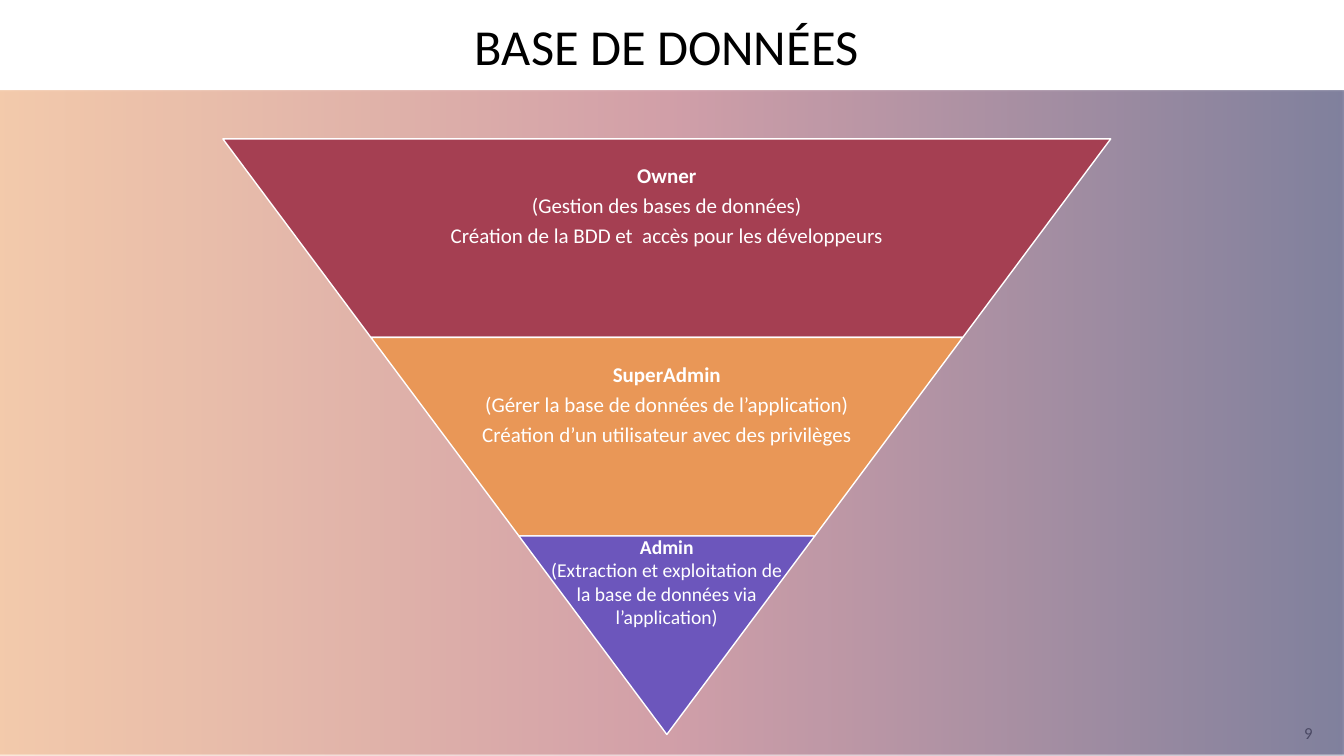
from lxml import etree
from pptx import Presentation
from pptx.dml.color import RGBColor
from pptx.enum.shapes import MSO_SHAPE
from pptx.enum.text import MSO_ANCHOR, PP_ALIGN
from pptx.oxml.ns import qn
from pptx.util import Pt

RECTANGLE, TRAPEZOID = MSO_SHAPE.RECTANGLE, MSO_SHAPE.TRAPEZOID
TOP, MIDDLE = MSO_ANCHOR.TOP, MSO_ANCHOR.MIDDLE
CENTER, RIGHT = PP_ALIGN.CENTER, PP_ALIGN.RIGHT

BLACK = RGBColor(0x00, 0x00, 0x00)
WHITE = RGBColor(0xFF, 0xFF, 0xFF)
GREY = RGBColor(0x8C, 0x8C, 0x8C)
NAVY = RGBColor(0x01, 0x02, 0x3B)
RED = RGBColor(0xA5, 0x3F, 0x52)
ORANGE = RGBColor(0xE9, 0x97, 0x57)
PURPLE = RGBColor(0x6C, 0x56, 0xBC)
FONT = "Calibri"

TITLE = "BASE DE DONNÉES"
PAGE = "9"
BACKDROP = [(0, ORANGE), (50, RED), (100, NAVY)]

# Text layout: top relative to the tier, box width, side and top inset,
# font size, line spacing, space after
ROOMY = dict(inset=(1.5, 19), size=15, line=0.9, after=5.25)
TIGHT = dict(inset=(7.2, 3.6), size=14, line=1.0, after=0)
TIERS = [
    (RED, 0, 412.6, ROOMY,
     ["Owner", "(Gestion des bases de données)",
      "Création de la BDD et  accès pour les développeurs"]),
    (ORANGE, 0, 275, ROOMY,
     ["SuperAdmin", "(Gérer la base de données de l’application)",
      "Création d’un utilisateur avec des privilèges"]),
    (PURPLE, -4.4, 180, TIGHT,
     ["Admin",
      "(Extraction et exploitation de la base de données via l’application)"]),
]

SLIDE_W, SLIDE_H = 960, 540
HEADER_H = 64.8
PYRAMID_TOP, PYRAMID_CENTER = 99.2, 476.3
TIER_H, TIER_SLANT = 141.8, 105.7


def add_text(slide, box, lines, size, color, anchor=MIDDLE, align=CENTER,
             inset=(7.2, 3.6), line=1.0, after=0):
    frame = slide.shapes.add_textbox(*map(Pt, box)).text_frame
    frame.word_wrap = True
    frame.vertical_anchor = anchor
    frame.margin_left = frame.margin_right = Pt(inset[0])
    frame.margin_top = frame.margin_bottom = Pt(inset[1])
    frame.text = "\n".join(lines)
    for paragraph in frame.paragraphs:
        paragraph.alignment = align
        paragraph.line_spacing = line
        paragraph.space_after = Pt(after)
        paragraph.font.name = FONT
        paragraph.font.size = Pt(size)
        paragraph.font.color.rgb = color
    return frame


def fill_half_transparent(shape, stops):
    """Fill the shape with a left-to-right gradient at 50 % opacity."""
    shape.fill.gradient()
    shape.fill.gradient_angle = 0
    stop_list = shape._element.spPr.find(qn("a:gradFill")).find(qn("a:gsLst"))
    for stop in list(stop_list):
        stop_list.remove(stop)
    for percent, color in stops:
        stop = etree.SubElement(stop_list, qn("a:gs"), pos=str(percent * 1000))
        srgb = etree.SubElement(stop, qn("a:srgbClr"), val=str(color))
        etree.SubElement(srgb, qn("a:alpha"), val="50000")


def add_backdrop(slide):
    backdrop = slide.shapes.add_shape(
        RECTANGLE, 0, Pt(HEADER_H), Pt(SLIDE_W), Pt(SLIDE_H - HEADER_H))
    backdrop.shadow.inherit = False
    backdrop.line.fill.background()
    fill_half_transparent(backdrop, BACKDROP)


def add_pyramid(slide):
    for index, (color, text_shift, text_w, layout, lines) in enumerate(TIERS):
        top = PYRAMID_TOP + index * TIER_H
        width = 2 * TIER_SLANT * (len(TIERS) - index)
        tier = slide.shapes.add_shape(
            TRAPEZOID, Pt(PYRAMID_CENTER - width / 2), Pt(top),
            Pt(width), Pt(TIER_H))
        tier.rotation = 180
        tier.adjustments[0] = TIER_SLANT / TIER_H
        tier.shadow.inherit = False
        tier.fill.solid()
        tier.fill.fore_color.rgb = color
        tier.line.color.rgb = WHITE
        tier.line.width = Pt(1)

        box = (PYRAMID_CENTER - text_w / 2, top + text_shift, text_w, 92)
        label = add_text(slide, box, lines, color=WHITE, anchor=TOP, **layout)
        label.paragraphs[0].font.bold = True


def main():
    deck = Presentation()
    deck.slide_width, deck.slide_height = Pt(SLIDE_W), Pt(SLIDE_H)
    slide = deck.slides.add_slide(deck.slide_layouts[6])
    add_text(slide, (909.4, 509, 35.3, 28.8), [PAGE], 12, GREY, align=RIGHT)
    add_text(slide, (43.2, 0, 866.2, HEADER_H), [TITLE], 36, BLACK)
    add_backdrop(slide)
    add_pyramid(slide)
    deck.save("out.pptx")


if __name__ == "__main__":
    main()
